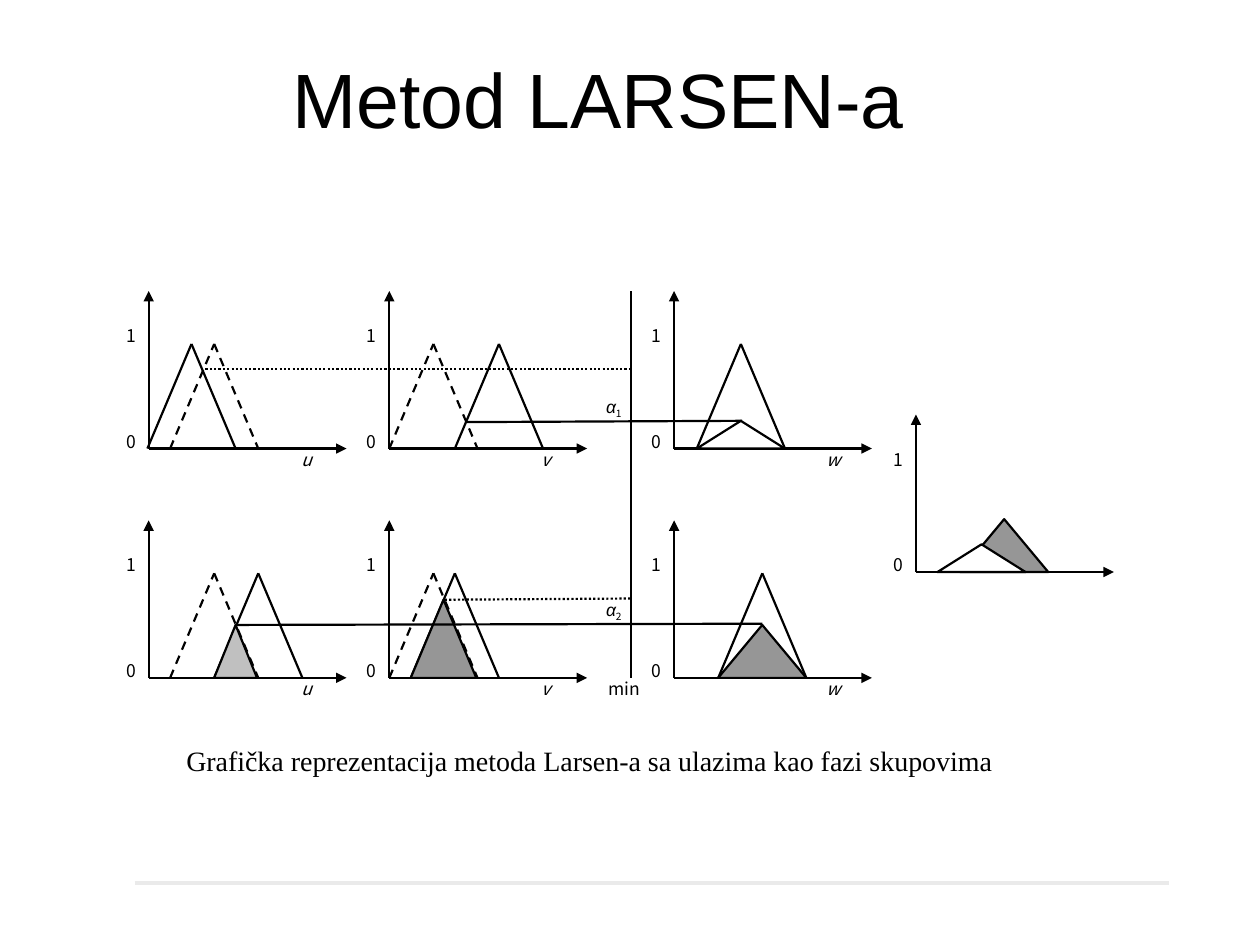
from pptx import Presentation
from pptx.dml.color import RGBColor
from pptx.enum.dml import MSO_LINE
from pptx.enum.shapes import MSO_CONNECTOR, MSO_SHAPE
from pptx.enum.text import MSO_ANCHOR, PP_ALIGN
from pptx.oxml.ns import qn
from pptx.util import Inches, Pt
from lxml.etree import SubElement

BLACK, GRAY, SILVER, WHITE = "000000", "969696", "C0C0C0", "FFFFFF"
LABEL_FONT = "Noto Sans CJK KR"
HALF_BASE, UNIT = 0.35, 0.83  # fuzzy set: half of its base, height of degree 1


def color(value):
    return RGBColor.from_string(value)


class Diagram:
    line_width = 1.25

    def __init__(self, slide):
        self.slide = slide

    def format(self, p, font, size, align=PP_ALIGN.LEFT, italic=False):
        p.alignment = align
        p.font.name, p.font.size, p.font.italic = font, Pt(size), italic
        p.font.color.rgb = color(BLACK)

    def title(self, text, x, y, w, h):
        s = self.slide.shapes.title
        s.left, s.top, s.width, s.height = map(Inches, (x, y, w, h))
        tf = s.text_frame
        tf.text, tf.vertical_anchor = text, MSO_ANCHOR.MIDDLE
        self.format(tf.paragraphs[0], "Arial", 44, PP_ALIGN.CENTER)

    def text(self, text, x, y, w, h, font=LABEL_FONT, size=10, italic=False, inset=True):
        s = self.slide.shapes.add_textbox(*map(Inches, (x, y, w, h)))
        tf = s.text_frame
        tf.word_wrap = True
        if not inset:
            tf.margin_left = tf.margin_top = tf.margin_right = tf.margin_bottom = 0
        p = tf.paragraphs[0]
        p.text = text
        self.format(p, font, size, italic=italic)
        return p

    def label(self, text, x, y, w=0.18, italic=False):
        self.text(text, x, y, w, 0.14, italic=italic, inset=False)

    def alpha(self, index, x, y):
        p = self.text("α", x, y, 0.35, 0.28, inset=False)
        p.runs[0].font.name, p.runs[0].font.italic = "Arial", True
        r = p.add_run()
        r.text = index
        r.font._element.set("baseline", "-25000")

    def line(self, x1, y1, x2, y2, dash=None, arrow=False, stroke=BLACK, width=line_width):
        s = self.slide.shapes.add_connector(
            MSO_CONNECTOR.STRAIGHT, *map(Inches, (x1, y1, x2, y2)))
        s.line.color.rgb, s.line.width = color(stroke), Pt(width)
        if dash:
            s.line.dash_style = dash
        if arrow:
            SubElement(s.line._get_or_add_ln(), qn("a:tailEnd"), type="triangle")
        SubElement(s._element.spPr, qn("a:effectLst"))

    def axes(self, x, y, variable=None):
        self.line(x, y, x, y - 1.25, arrow=True)
        self.line(x, y, x + 1.57, y, arrow=True)
        self.label("0", x - 0.18, y - 0.14)
        self.label("1", x - 0.18, y - 0.98)
        if variable:
            self.label(variable, x + 1.21, y, italic=True)

    def fuzzy_set(self, peak, y, dash=None):
        self.line(peak - HALF_BASE, y, peak, y - UNIT, dash)
        self.line(peak, y - UNIT, peak + HALF_BASE, y, dash)

    def area(self, peak, y, half, height, fill):
        s = self.slide.shapes.add_shape(
            MSO_SHAPE.ISOSCELES_TRIANGLE,
            *map(Inches, (peak - half, y - height, 2 * half, height)))
        s.shadow.inherit = False
        s.fill.solid()
        s.fill.fore_color.rgb = color(fill)
        s.line.color.rgb, s.line.width = color(BLACK), Pt(self.line_width)


def main():
    prs = Presentation()
    prs.slide_width, prs.slide_height = Inches(10), Inches(7.5)
    d = Diagram(prs.slides.add_slide(prs.slide_layouts[5]))

    # Title, footer rule and caption
    d.title("Metod LARSEN-a", 0.25, 0.15, 9, 1.25)
    d.line(1.07, 7.01, 9.28, 7.01, stroke="EAEAEA", width=2.25)
    d.text("Grafička reprezentacija metoda Larsen-a sa ulazima kao fazi skupovima",
           1.38, 5.85, 6.92, 0.37, font="Times New Roman", size=16)

    # Axes of the two rules and of the combined result
    columns = {"u": 1.18, "v": 3.09, "w": 5.35}
    rule1, rule2, result_x, result_y = 3.56, 5.38, 7.27, 4.54
    for y in (rule1, rule2):
        for variable, x in columns.items():
            d.axes(x, y, variable)
    d.axes(result_x, result_y)

    # Fuzzy sets: solid for the rule, dashed for the input
    solid_peaks = {rule1: (1.52, 3.96, 5.88), rule2: (2.05, 3.61, 6.05)}
    for y, peaks in solid_peaks.items():
        for peak in (1.7, 3.44):
            d.fuzzy_set(peak, y, MSO_LINE.DASH)
        for peak in peaks:
            d.fuzzy_set(peak, y)

    # Overlaps of input and rule
    d.area(1.87, rule2, 0.17, 0.42, SILVER)
    d.area(3.52, rule2, 0.26, 0.62, GRAY)

    # Degrees carried over to the minimum and the conclusion
    d.line(3.7, 3.35, 5.89, 3.34)
    d.line(1.63, 2.93, 5.01, 2.93, MSO_LINE.ROUND_DOT)
    d.line(3.53, 4.76, 5.01, 4.75, MSO_LINE.ROUND_DOT)
    d.line(1.87, 4.96, 6.05, 4.95)

    # Scaled conclusions, then their union
    d.area(6.05, rule2, HALF_BASE, 0.42, GRAY)
    d.area(7.97, result_y, HALF_BASE, 0.42, GRAY)
    d.area(5.88, rule1, HALF_BASE, 0.22, WHITE)
    d.area(7.79, result_y, HALF_BASE, 0.22, WHITE)

    # Minimum line with its labels
    d.line(5.01, 2.31, 5.01, rule2)
    d.label("min", 4.83, rule2, w=0.35)
    d.alpha("1", 4.81, 3.14)
    d.alpha("2", 4.81, 4.75)

    prs.save("out.pptx")


if __name__ == "__main__":
    main()
